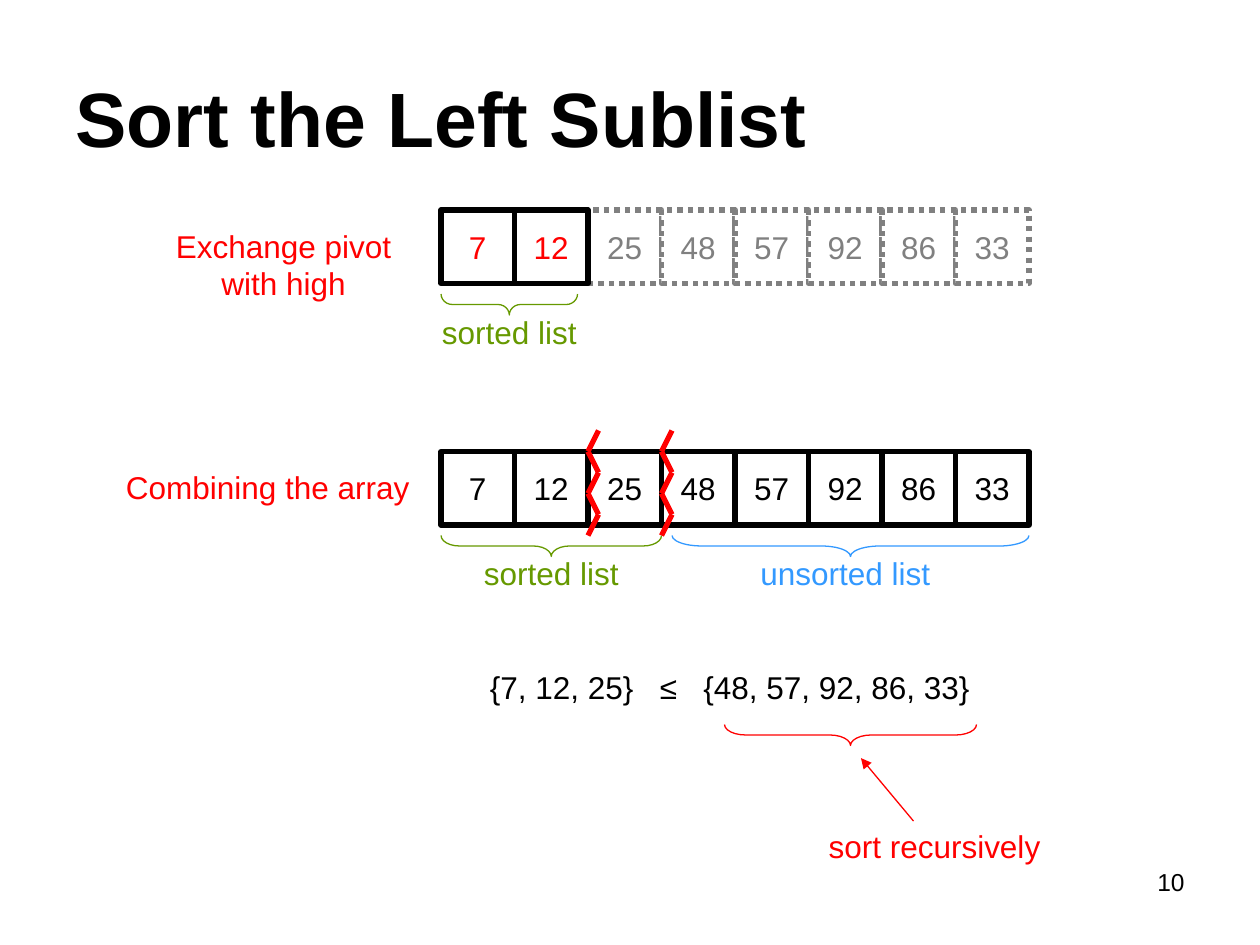
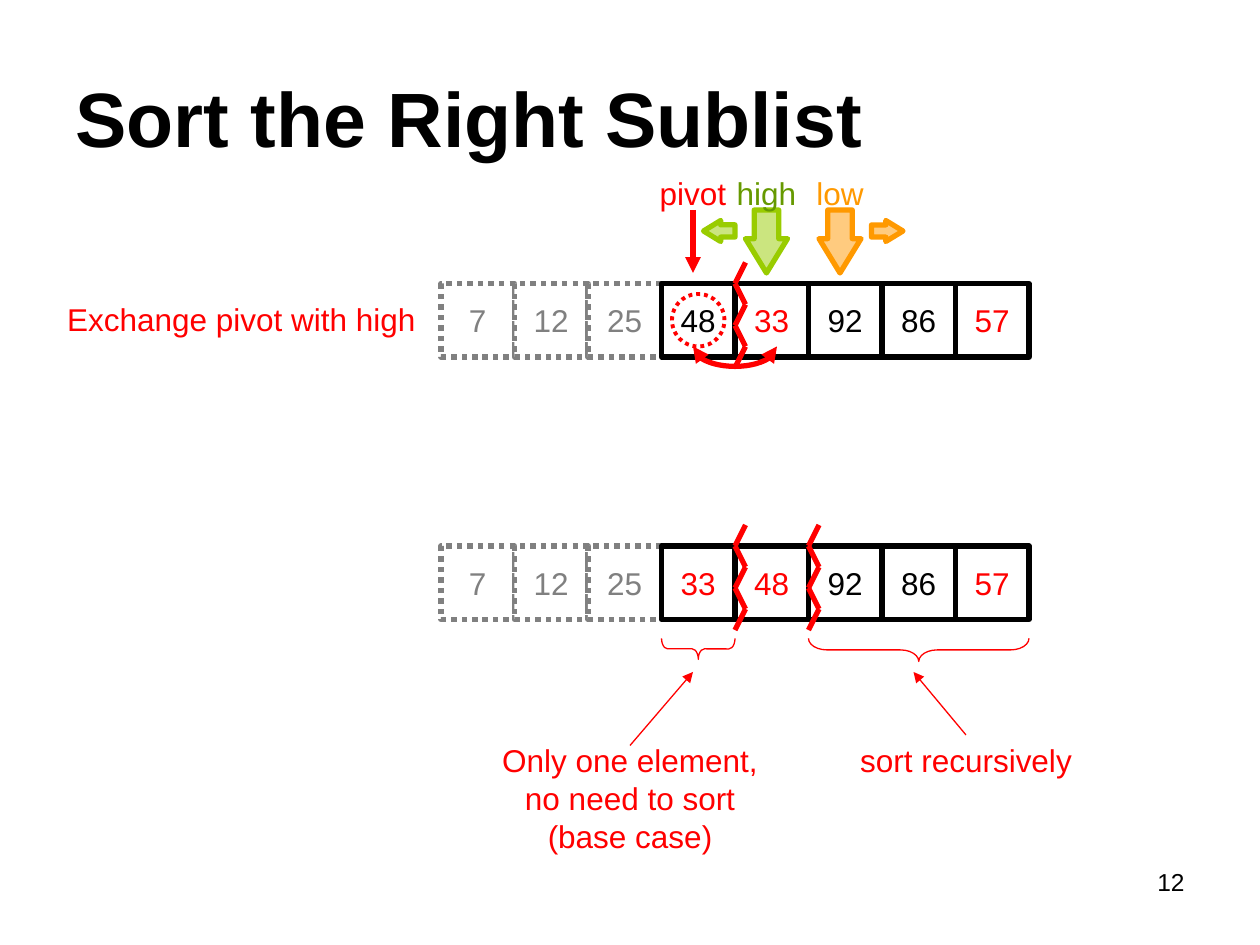
from dataclasses import dataclass
from itertools import pairwise
from math import cos, pi, sin

from pptx import Presentation
from pptx.dml.color import RGBColor
from pptx.enum.dml import MSO_LINE
from pptx.enum.shapes import MSO_CONNECTOR, MSO_SHAPE
from pptx.enum.text import MSO_ANCHOR, MSO_AUTO_SIZE, PP_ALIGN
from pptx.oxml.ns import qn
from pptx.util import Pt

PX = 7620  # EMU in one px, 120 px to the inch
CELL = 70
LEFT = 420  # left edge of every array


@dataclass(frozen=True)
class Theme:
    font: str = "Arial"
    black: str = "000000"
    white: str = "FFFFFF"
    gray: str = "808080"
    red: str = "FF0000"
    green: str = "669900"
    blue: str = "3399FF"
    lime: str = "99CC00"
    orange: str = "FF9900"
    title: int = 44
    body: int = 18
    page: int = 14
    thin: float = 0.75
    dots: float = 2.25
    thick: float = 3


def rgb(code):
    return RGBColor.from_string(code)


def emu(*sizes):
    return [round(size * PX) for size in sizes]


def col(index):
    """Left edge of an array cell."""
    return LEFT + index * CELL


class Deck:
    def __init__(self, theme):
        self.theme = theme
        self.file = Presentation()
        self.file.slide_width, self.file.slide_height = emu(1200, 900)
        self.slide = None

    def start(self, title, page):
        self.slide = self.file.slides.add_slide(self.file.slide_layouts[5])
        head = self.slide.shapes.title
        head.left, head.top, head.width, head.height = emu(60, 36, 1080, 150)
        head.text_frame.text = title
        head.text_frame.vertical_anchor = MSO_ANCHOR.MIDDLE
        self.style(head, self.theme.black, self.theme.title, PP_ALIGN.LEFT, True)
        self.text(page, 860, 820, 280, self.theme.black, self.theme.page, PP_ALIGN.RIGHT)

    def style(self, shape, color, size=None, align=PP_ALIGN.CENTER, bold=False):
        for para in shape.text_frame.paragraphs:
            para.alignment = align
            para.font.name = self.theme.font
            para.font.size = Pt(size or self.theme.body)
            para.font.bold = bold
            para.font.color.rgb = rgb(color)

    def text(self, words, x, y, width, color, size=None, align=PP_ALIGN.CENTER):
        box = self.slide.shapes.add_textbox(*emu(x, y, width, 48))
        frame = box.text_frame
        frame.word_wrap = True
        frame.auto_size = MSO_AUTO_SIZE.SHAPE_TO_FIT_TEXT
        frame.text = words
        self.style(box, color, size, align)
        return box

    def compare(self, parts, x, y, width):
        """One line of text whose parts stand apart by widened spaces."""
        box = self.text("", x, y, width, self.theme.black)
        para = box.text_frame.paragraphs[0]
        for i, part in enumerate(parts):
            if i:
                gap = para.add_run()
                gap.text = " "
                gap.font._element.set("spc", "1000")
            para.add_run().text = part

    def draw(self, shape, color, weight, fill=None, dots=False):
        shape.shadow.inherit = False
        if fill:
            shape.fill.solid()
            shape.fill.fore_color.rgb = rgb(fill)
        else:
            shape.fill.background()
        shape.line.color.rgb = rgb(color)
        shape.line.width = Pt(weight)
        if dots:
            shape.line.dash_style = MSO_LINE.ROUND_DOT

    def shape(self, kind, x, y, width, height, *look, **more):
        item = self.slide.shapes.add_shape(kind, *emu(x, y, width, height))
        self.draw(item, *look, **more)
        return item

    def array(self, y, values, live, red=()):
        """Row of cells; those outside the range live are dotted and gray."""
        t = self.theme
        for i in sorted(range(len(values)), key=lambda i: i in live):
            edge = t.black if i in live else t.gray
            cell = self.shape(MSO_SHAPE.RECTANGLE, col(i), y, CELL, CELL,
                              edge, t.thick, t.white, dots=i not in live)
            cell.text_frame.text = str(values[i])
            cell.text_frame.word_wrap = False
            cell.text_frame.vertical_anchor = MSO_ANCHOR.MIDDLE
            self.style(cell, t.red if i in red else edge)

    def brace(self, x, y, length, color, depth=20):
        """Brace below a span, with its tip pointing down."""
        item = self.shape(MSO_SHAPE.RIGHT_BRACE, x + (length - depth) / 2,
                          y + (depth - length) / 2, depth, length, color, self.theme.thin)
        item.rotation = 90
        item.adjustments[0] = length / depth / 12

    def block(self, x, y, width, height, color, turn=0):
        """Half-clear block arrow that points left before its turn."""
        item = self.shape(MSO_SHAPE.LEFT_ARROW, x, y, width, height,
                          color, self.theme.thick, color)
        item.rotation = turn
        item.adjustments[0], item.adjustments[1] = 0.583, 0.818
        tint = item._element.spPr.find(qn("a:solidFill"))[0]
        tint.makeelement(qn("a:alpha"), {})
        alpha = tint.makeelement(qn("a:alpha"), {"val": "50000"})
        tint.append(alpha)

    def tips(self, item, *ends):
        edge = item._element.spPr.find(qn("a:ln"))
        for end in ends:
            edge.append(edge.makeelement(qn(f"a:{end}"), {"type": "triangle"}))

    def line(self, start, end, weight, shapes=None):
        shapes = shapes or self.slide.shapes
        item = shapes.add_connector(MSO_CONNECTOR.STRAIGHT, *emu(*start, *end))
        item.line.color.rgb = rgb(self.theme.red)
        item.line.width = Pt(weight)
        props = item._element.spPr
        props.append(props.makeelement(qn("a:effectLst"), {}))
        return item

    def arrow(self, start, end, weight=None, box=None):
        item = self.line(start, end, weight or self.theme.thin)
        if box:
            item.begin_connect(box, 0)
        self.tips(item, "tailEnd")

    def split(self, index, y):
        """Zigzag cut along the left edge of a cell in the row at y."""
        group = self.slide.shapes.add_group_shape()
        spots = [(col(index) + 10 * (i % 2 == 0), y - 20 + 20 * i) for i in range(6)]
        for start, end in pairwise(spots):
            self.line(start, end, self.theme.thick, group.shapes)

    def swap(self, x, y, wide, deep):
        """Hanging half ellipse round x, y with a tip at both ends."""
        turns = [pi * (1 - i / 24) for i in range(25)]
        spots = [emu(x + wide * cos(a), y + deep * sin(a)) for a in turns]
        form = self.slide.shapes.build_freeform(*spots[0])
        form.add_line_segments(spots[1:], close=False)
        item = form.convert_to_shape()
        self.draw(item, self.theme.red, self.theme.thick)
        self.tips(item, "headEnd", "tailEnd")


def left_list(deck):
    t = deck.theme
    deck.start("Sort the Left Sublist", "10")
    values = [7, 12, 25, 48, 57, 92, 86, 33]

    deck.array(200, values, range(2), red=(0, 1))
    deck.text("sorted list", 380, 292, 210, t.green)
    deck.brace(LEFT, 280, 130, t.green)
    deck.text("Exchange pivot with high", 130, 210, 280, t.red)

    deck.array(430, values, range(8))
    deck.text("Combining the array", 100, 440, 310, t.red)
    deck.brace(LEFT, 510, 210, t.green)
    deck.text("sorted list", 420, 522, 210, t.green)
    deck.text("unsorted list", 700, 522, 210, t.blue)
    deck.brace(640, 510, 340, t.blue)
    for cut in (3, 2):
        deck.split(cut, 430)

    deck.compare(["{7, 12, 25}", "≤", "{48, 57, 92, 86, 33}"], 400, 630, 590)
    deck.brace(690, 690, 240, t.red)
    deck.text("sort recursively", 750, 782, 280, t.red)
    deck.arrow((870, 782), (820, 722))


def right_list(deck):
    t = deck.theme
    deck.start("Sort the Right Sublist", "12")

    deck.array(270, [7, 12, 25, 48, 33, 92, 86, 57], range(3, 8), red=(4, 7))
    deck.split(4, 270)
    deck.shape(MSO_SHAPE.OVAL, 640, 280, 50, 50, t.red, t.dots, dots=True)
    deck.arrow((660, 200), (660, 260), t.thick)
    for x, color in ((700, t.lime), (770, t.orange)):
        deck.block(x, 210, 60, 40, color, 270)
    deck.block(830, 210, 30, 20, t.orange, 180)
    deck.block(670, 210, 30, 20, t.lime)
    for word, x, width, color in (("pivot", 590, 140, t.red), ("low", 760, 80, t.orange),
                                  ("high", 680, 100, t.green)):
        deck.text(word, x, 160, width, color)
    deck.swap(700, 330, 40, 19)
    deck.text("Exchange pivot with high", 50, 280, 360, t.red)

    deck.array(520, [7, 12, 25, 33, 48, 92, 86, 57], range(3, 8), red=(3, 4, 7))
    for cut in (4, 5):
        deck.split(cut, 520)
    deck.brace(col(3), 608, CELL, t.red)
    deck.brace(col(5), 608, 3 * CELL, t.red, depth=22)
    deck.text("Only one element, no need to sort (base case)", 460, 700, 280, t.red)
    deck.arrow((600, 710), (660, 640))
    again = deck.text("sort recursively", 780, 700, 280, t.red)
    deck.arrow((920, 700), (870, 640), box=again)


def main():
    deck = Deck(Theme())
    left_list(deck)
    right_list(deck)
    deck.file.save("out.pptx")


if __name__ == "__main__":
    main()
